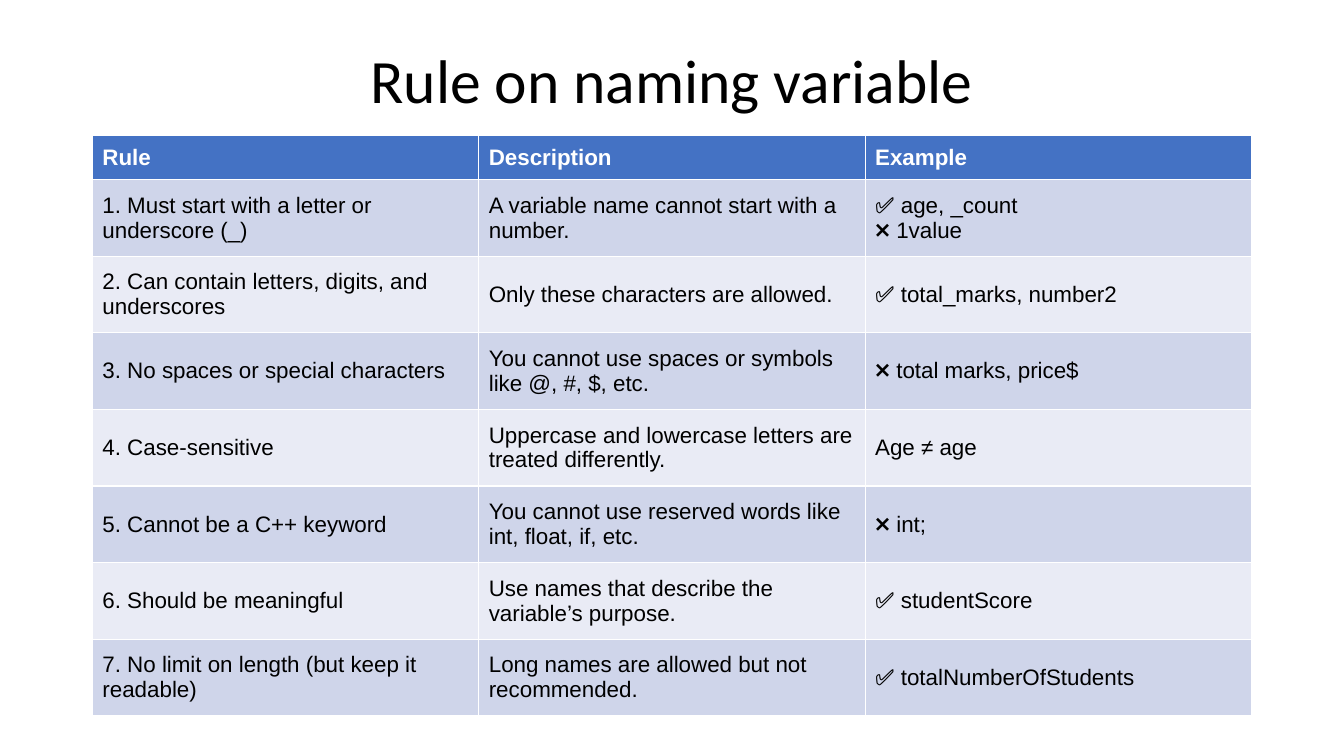
import pptx
import pptx.dml.color
import pptx.enum.text
import pptx.util

PX = 9525
ANCHOR = pptx.enum.text.MSO_ANCHOR
ALIGN = pptx.enum.text.PP_ALIGN

HEADER = ("Rule", "Description", "Example")
RULES = [
    ("1. Must start with a letter or underscore (_)",
     "A variable name cannot start with a number.",
     "✅ age, _count \v❌ 1value"),
    ("2. Can contain letters, digits, and underscores",
     "Only these characters are allowed.",
     "✅ total_marks, number2"),
    ("3. No spaces or special characters",
     "You cannot use spaces or symbols like @, #, $, etc.",
     "❌ total marks, price$"),
    ("4. Case-sensitive",
     "Uppercase and lowercase letters are treated differently.",
     "Age ≠ age"),
    ("5. Cannot be a C++ keyword",
     "You cannot use reserved words like int, float, if, etc.",
     "❌ int;"),
    ("6. Should be meaningful",
     "Use names that describe the variable’s purpose.",
     "✅ studentScore"),
    ("7. No limit on length (but keep it readable)",
     "Long names are allowed but not recommended.",
     "✅ totalNumberOfStudents"),
]


def color(value):
    return pptx.dml.color.RGBColor.from_string(value)


class RuleSlide:
    """Draws a title and a banded table in one style on a slide."""

    text_color = "000000"
    header_text, header_fill = "FFFFFF", "4472C4"
    bands = ("CFD5EA", "E9EBF5")

    def __init__(self, slide):
        self.slide = slide

    def format_text(self, text_frame, font_name, size, text_color, bold=False):
        for paragraph in text_frame.paragraphs:
            for run in paragraph.runs:
                run.font.name = font_name
                run.font.size = pptx.util.Pt(size)
                run.font.bold = bold
                run.font.color.rgb = color(text_color)

    def title(self, text, left, top, width, height):
        shape = self.slide.shapes.add_textbox(
            left * PX, top * PX, width * PX, height * PX)
        text_frame = shape.text_frame
        text_frame.word_wrap = True
        text_frame.vertical_anchor = ANCHOR.MIDDLE
        text_frame.text = text
        paragraph = text_frame.paragraphs[0]
        paragraph.alignment = ALIGN.CENTER
        paragraph.line_spacing = 0.9
        self.format_text(text_frame, "Calibri", 44, self.text_color)

    def table(self, rows, left, top, column_width, header_height, row_height):
        column_count = len(rows[0])
        height = header_height + row_height * (len(rows) - 1)
        table = self.slide.shapes.add_table(
            len(rows), column_count, left * PX, top * PX,
            column_width * column_count * PX, height * PX).table
        for row_index, texts in enumerate(rows):
            is_header = row_index == 0
            table.rows[row_index].height = (
                header_height if is_header else row_height) * PX
            fill = self.header_fill if is_header else self.bands[(row_index - 1) % 2]
            text_color = self.header_text if is_header else self.text_color
            for column_index, text in enumerate(texts):
                cell = table.cell(row_index, column_index)
                cell.vertical_anchor = ANCHOR.MIDDLE
                cell.fill.solid()
                cell.fill.fore_color.rgb = color(fill)
                cell.text_frame.text = text
                self.format_text(cell.text_frame, "Arial", 16, text_color, is_header)


def main():
    presentation = pptx.Presentation()
    presentation.slide_width = 1280 * PX
    presentation.slide_height = 720 * PX
    rule_slide = RuleSlide(
        presentation.slides.add_slide(presentation.slide_layouts[6]))
    rule_slide.title("Rule on naming variable", 88, 38, 1104, 83)
    rule_slide.table([HEADER, *RULES], 88, 129, 368, 42, 73)
    presentation.save("out.pptx")


if __name__ == "__main__":
    main()
